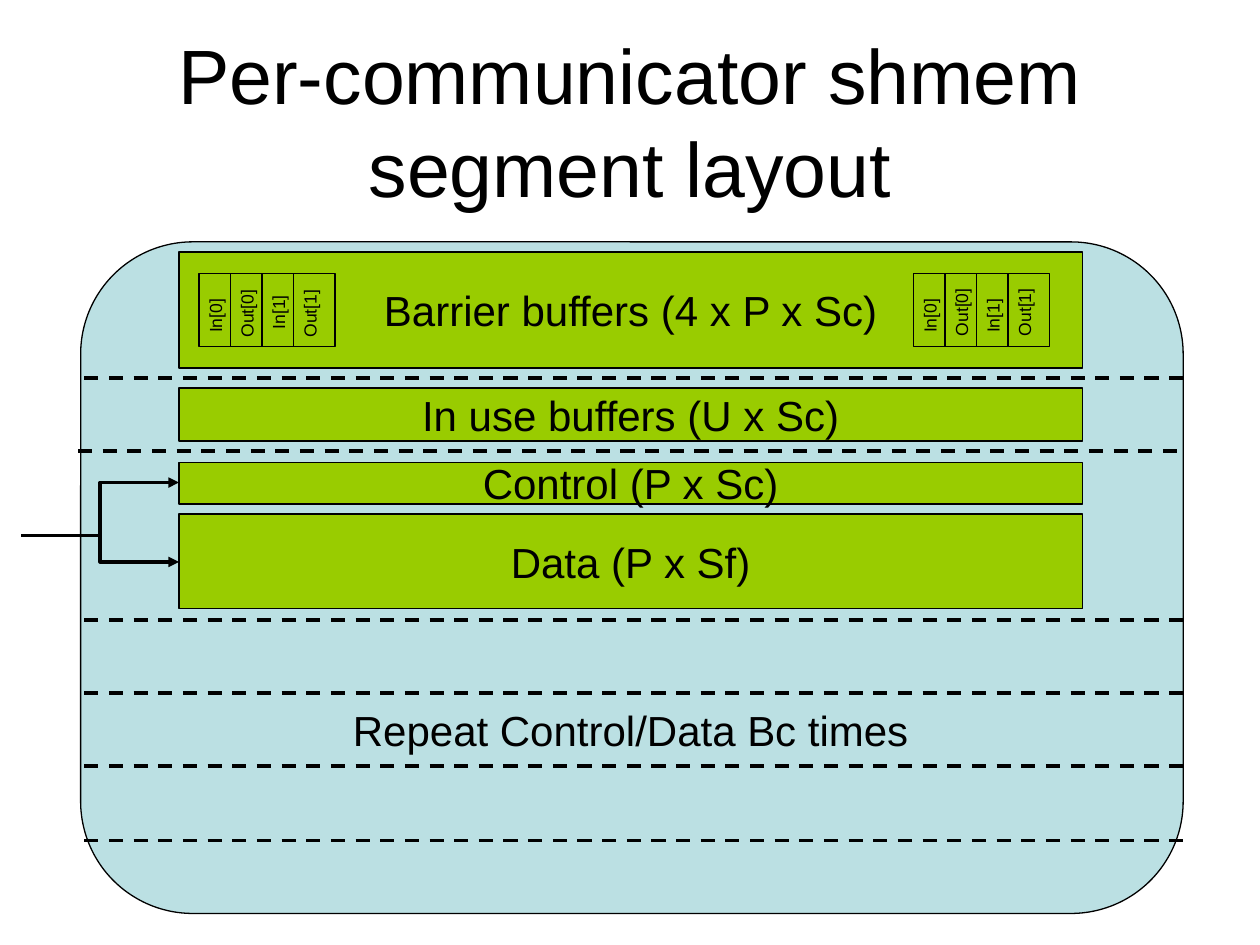
"""Build the slide showing the layout of a per-communicator shared memory segment."""
from lxml import etree
from pptx import Presentation
from pptx.dml.color import RGBColor
from pptx.enum.dml import MSO_LINE
from pptx.enum.shapes import MSO_CONNECTOR, MSO_SHAPE
from pptx.enum.text import MSO_ANCHOR, MSO_AUTO_SIZE, PP_ALIGN
from pptx.oxml.ns import qn
from pptx.util import Inches, Pt

BLACK, GREEN, PALE_BLUE = "000000", "99CC00", "BBE0E3"
TITLE = "Per-communicator shmem segment layout"
REPEAT_NOTE = "Repeat Control/Data Bc times"
BAND_LEFT, BAND_WIDTH = 1.42, 7.17
BANDS = [
    ("Barrier buffers (4 x P x Sc)", 2.0, 0.92),
    ("In use buffers (U x Sc)", 3.08, 0.42),
    ("Control (P x Sc)", 3.67, 0.33),
    ("Data (P x Sf)", 4.08, 0.75),
]
DIVIDERS = [(0.67, 3.0), (0.62, 3.58), (0.67, 4.92), (0.67, 5.5), (0.67, 6.08), (0.67, 6.67)]
DIVIDER_WIDTH = 8.75
ARROW_START, ARROW_ENDS = (0.17, 4.25), (3.83, 4.46)
FLAGS = [("In[0]", 0.49), ("Out[0]", 0.6), ("In[1]", 0.49), ("Out[1]", 0.6)]
FLAG_BOXES = [(1.58, (2.36, 2.34, 2.33, 2.34)), (7.25, (2.36, 2.33, 2.36, 2.33))]
FLAG_TOP, FLAG_BOTTOM, FLAG_STEP, FLAG_HEIGHT = 2.17, 2.75, 0.25, 0.27


def rgb(value):
    return RGBColor.from_string(value)


def write(shape, text, size, align=PP_ALIGN.CENTER, anchor=MSO_ANCHOR.MIDDLE, wrap=False):
    frame = shape.text_frame
    frame.text = text
    frame.word_wrap = wrap
    frame.auto_size = MSO_AUTO_SIZE.NONE
    frame.vertical_anchor = anchor
    paragraph = frame.paragraphs[0]
    paragraph.alignment = align
    font = paragraph.runs[0].font
    font.name, font.size, font.color.rgb = "Arial", Pt(size), rgb(BLACK)


def add_box(shapes, kind, left, top, width, height, fill):
    box = shapes.add_shape(kind, *map(Inches, (left, top, width, height)))
    box.shadow.inherit = False
    box.fill.solid()
    box.fill.fore_color.rgb = rgb(fill)
    box.line.color.rgb = rgb(BLACK)
    box.line.width = Pt(0.75)
    return box


def add_line(shapes, start, end, width, kind=MSO_CONNECTOR.STRAIGHT):
    line = shapes.add_connector(kind, *map(Inches, (*start, *end)))
    line.line.color.rgb = rgb(BLACK)
    line.line.width = Pt(width)
    etree.SubElement(line._element.spPr, qn("a:effectLst"))
    return line


def add_label(shapes, text, left, top, width, height, size, align):
    label = shapes.add_textbox(*map(Inches, (left, top, width, height)))
    write(label, text, size, align, MSO_ANCHOR.TOP)
    return label


def add_flags(shapes, left, label_tops):
    group = shapes.add_group_shape().shapes
    add_box(group, MSO_SHAPE.RECTANGLE, left, FLAG_TOP, 1.08, FLAG_BOTTOM - FLAG_TOP, GREEN)
    for i, ((text, width), top) in enumerate(zip(FLAGS, label_tops)):
        x = left + i * FLAG_STEP
        if i:
            add_line(group, (x, FLAG_TOP), (x, FLAG_BOTTOM), 0.75)
        label = add_label(group, text, x + 0.13 - width / 2, top, width, FLAG_HEIGHT, 10, PP_ALIGN.LEFT)
        label.rotation = 270


prs = Presentation()
prs.slide_width, prs.slide_height = Inches(10), Inches(7.5)
slide = prs.slides.add_slide(prs.slide_layouts[5])
shapes = slide.shapes

title = shapes.title
title.left, title.top, title.width, title.height = map(Inches, (0.75, 0.33, 8.5, 1.25))
write(title, TITLE, 44, wrap=True)

segment = add_box(shapes, MSO_SHAPE.ROUNDED_RECTANGLE, 0.64, 1.92, 8.75, 5.33, PALE_BLUE)
segment.adjustments[0] = 0.167

for text, top, height in BANDS:
    band = add_box(shapes, MSO_SHAPE.RECTANGLE, BAND_LEFT, top, BAND_WIDTH, height, GREEN)
    write(band, text, 24)

for left, y in DIVIDERS:
    divider = add_line(shapes, (left, y), (left + DIVIDER_WIDTH, y), 2)
    divider.line.dash_style = MSO_LINE.DASH

for y in ARROW_ENDS:
    arrow = add_line(shapes, ARROW_START, (BAND_LEFT, y), 2, MSO_CONNECTOR.ELBOW)
    etree.SubElement(arrow.line._get_or_add_ln(), qn("a:tailEnd"), type="triangle")

for left, label_tops in FLAG_BOXES:
    add_flags(shapes, left, label_tops)

add_label(shapes, REPEAT_NOTE, 2.7, 5.54, 4.61, 0.5, 24, PP_ALIGN.CENTER)

prs.save("out.pptx")
